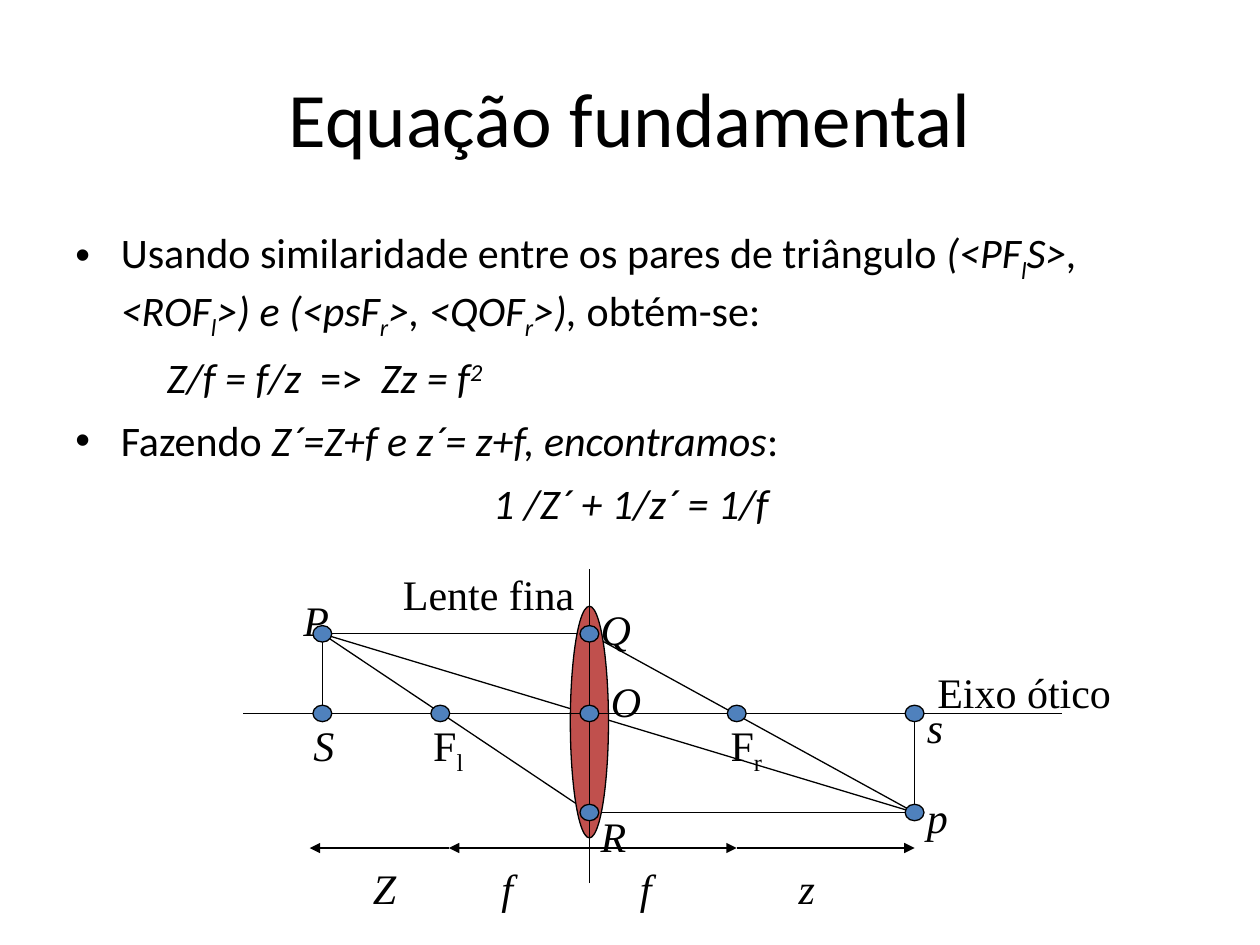
from lxml import etree
from pptx import Presentation
from pptx.dml.color import RGBColor
from pptx.enum.shapes import MSO_CONNECTOR, MSO_SHAPE
from pptx.enum.text import MSO_ANCHOR, MSO_AUTO_SIZE, PP_ALIGN
from pptx.oxml.ns import qn
from pptx.util import Pt

LINE = MSO_CONNECTOR.STRAIGHT
OVAL = MSO_SHAPE.OVAL
MIDDLE = MSO_ANCHOR.MIDDLE
GROW = MSO_AUTO_SIZE.SHAPE_TO_FIT_TEXT
LEFT, CENTER = PP_ALIGN.LEFT, PP_ALIGN.CENTER

COLORS = {"ink": "000000", "dot": "4F81BD", "lens": "C0504D"}
SANS, SERIF = "Calibri", "Times New Roman"
SUB, SUP = -25, 30

# Key lines of the optical diagram
OBJ, LENS, IMG = 184.2, 336.8, 522.6
FOC_L, FOC_R = 251.6, 421
TOP, AXIS, LOW = 362.2, 407.7, 464.3
DIM = 484.6


def color(name):
    return RGBColor.from_string(COLORS[name])


def add_text(par, text, size=24, face=SANS, italic=False, base=0):
    run = par.add_run()
    run.text = text
    font = run.font
    font.size, font.name, font.italic = Pt(size), face, italic
    font.color.rgb = color("ink")
    if base:
        run._r.get_or_add_rPr().set("baseline", str(base * 1000))


def add_box(slide, x, y, w, h, wrap=True):
    box = slide.shapes.add_textbox(Pt(x), Pt(y), Pt(w), Pt(h))
    box.text_frame.word_wrap = wrap
    return box.text_frame


def set_par(par, margin, indent=0, before=0, bullet=False, align=LEFT):
    par.alignment = align
    props = par._p.get_or_add_pPr()
    props.set("marL", str(Pt(margin)))
    props.set("indent", str(Pt(indent)))
    if bullet:
        etree.SubElement(props, qn("a:buFont")).set("typeface", "Arial")
        etree.SubElement(props, qn("a:buChar")).set("char", "•")
    if before:
        par.space_before = Pt(before)


def add_label(slide, text, x, y, w, italic=True, sub=None):
    frame = add_box(slide, x, y, w, 40 if sub else 36, wrap=False)
    frame.auto_size = GROW
    par = frame.paragraphs[0]
    add_text(par, text, face=SERIF, italic=italic)
    if sub:
        add_text(par, sub, face=SERIF, base=SUB)


def add_line(slide, x1, y1, x2, y2, arrow=False):
    line = slide.shapes.add_connector(LINE, Pt(x1), Pt(y1), Pt(x2), Pt(y2))
    line.line.color.rgb = color("ink")
    line.line.width = Pt(0.75)
    if arrow:
        stroke = line.line._get_or_add_ln()
        etree.SubElement(stroke, qn("a:tailEnd")).set("type", "triangle")
    etree.SubElement(line._element.spPr, qn("a:effectLst"))


def add_oval(slide, x, y, w, h, fill):
    """Draw an ellipse around its centre."""
    oval = slide.shapes.add_shape(OVAL, Pt(x - w / 2), Pt(y - h / 2), Pt(w), Pt(h))
    oval.shadow.inherit = False
    oval.fill.solid()
    oval.fill.fore_color.rgb = color(fill)
    oval.line.color.rgb = color("ink")
    oval.line.width = Pt(0.75)


def add_title(slide):
    frame = add_box(slide, 36, 21.6, 648, 90)
    frame.vertical_anchor = MIDDLE
    par = frame.paragraphs[0]
    par.alignment = CENTER
    add_text(par, "Equação fundamental", size=44)


def add_body(slide):
    it = {"italic": True}
    low = {"italic": True, "base": SUB}
    item = {"margin": 26, "indent": -26, "bullet": True}
    pars = [
        (item, [
            ("Usando similaridade entre os pares de triângulo", {}),
            (" (<PF", it), ("l", low), ("S>, <ROF", it), ("l", low),
            (">) e (<psF", it), ("r", low), (">, <QOF", it), ("r", low),
            (">), ", it), ("obtém-se:", {})]),
        ({"margin": 52.3, "before": 6}, [
            ("Z/f = f/z", it), ("  =>  ", {}), ("Zz = f", it),
            ("2", {"italic": True, "base": SUP})]),
        ({**item, "before": 7}, [
            ("Fazendo", {}), (" Z´=Z+f e z´= z+f, encontramos", it), (":", {})]),
        ({"margin": 27, "indent": -26, "before": 7, "align": CENTER}, [
            ("1 /Z´ + 1/z´ = 1/f", it)]),
    ]
    frame = add_box(slide, 36, 126, 648, 356.4)
    for i, (form, runs) in enumerate(pars):
        par = frame.add_paragraph() if i else frame.paragraphs[0]
        set_par(par, **form)
        for text, style in runs:
            add_text(par, text, **style)


def add_optics(slide):
    # Light rays, behind the lens
    for ray in [(OBJ, TOP, LENS, TOP), (LENS, TOP, IMG, LOW),
                (OBJ, TOP, IMG, LOW), (OBJ, TOP, LENS, LOW),
                (LENS, LOW, IMG, LOW)]:
        add_line(slide, *ray)

    # Distances along the axis
    for start, end in [(LENS, 256.5), (LENS, FOC_R), (FOC_R, IMG), (256.5, 177)]:
        add_line(slide, start, DIM, end, DIM, arrow=True)

    # Lens, axes, object and image
    add_oval(slide, LENS, 412.6, 21.8, 132.4, "lens")
    add_line(slide, LENS, 504.7, LENS, 325.4)
    add_line(slide, 139, AXIS, 607, AXIS)
    add_line(slide, OBJ, AXIS, OBJ, TOP)
    add_line(slide, IMG, LOW, IMG, AXIS)

    # Labels
    for text, x, y, w in [
            ("P", 166.3, 336.2, 29), ("Q", 336.2, 341.3, 32),
            ("R", 336.2, 459.4, 29), ("O", 342, 382.3, 32),
            ("S", 172, 407.5, 26), ("p", IMG, 448.6, 26),
            ("s", IMG, 397.4, 24), ("Z", 206, 489.6, 27),
            ("f", 279.4, 489.6, 21), ("f", 358.6, 489.6, 21),
            ("z", 449.3, 489.6, 24)]:
        add_label(slide, text, x, y, w)
    add_label(slide, "Lente fina", 223.2, 321.1, 112.3, italic=False)
    add_label(slide, "Eixo ótico", 528.5, 377.3, 113.8, italic=False)
    add_label(slide, "F", 240.5, 407.5, 31.7, italic=False, sub="l")
    add_label(slide, "F", 410.4, 407.5, 32.4, italic=False, sub="r")

    # Points
    for x, y in [(OBJ, TOP), (OBJ, AXIS), (FOC_L, AXIS), (LENS, TOP),
                 (LENS, AXIS), (LENS, LOW), (FOC_R, AXIS), (IMG, AXIS),
                 (IMG, LOW)]:
        add_oval(slide, x, y, 10.8, 9.4, "dot")


def main():
    deck = Presentation()
    deck.slide_width, deck.slide_height = Pt(720), Pt(540)
    slide = deck.slides.add_slide(deck.slide_layouts[6])
    add_title(slide)
    add_body(slide)
    add_optics(slide)
    deck.save("out.pptx")


if __name__ == "__main__":
    main()
